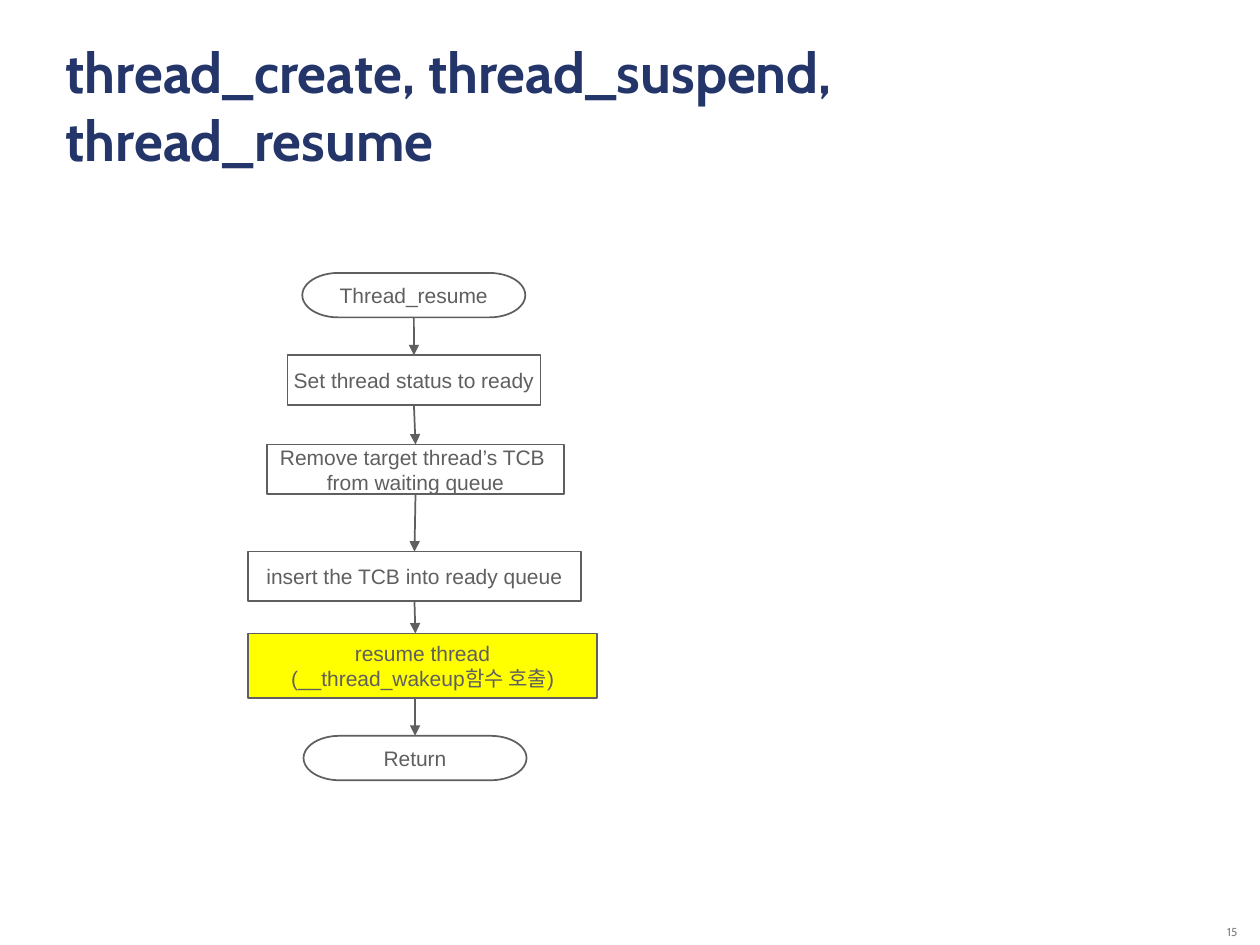
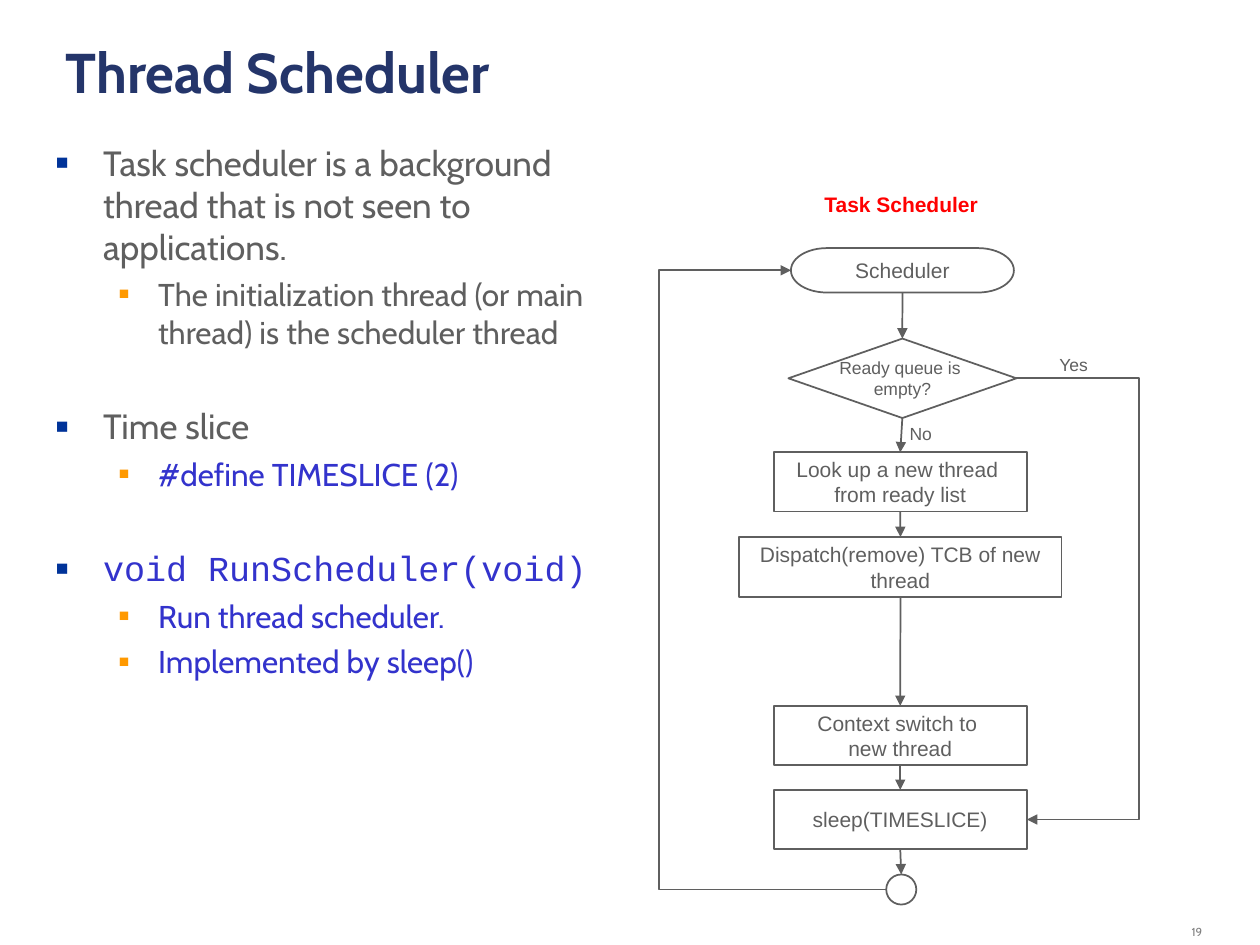
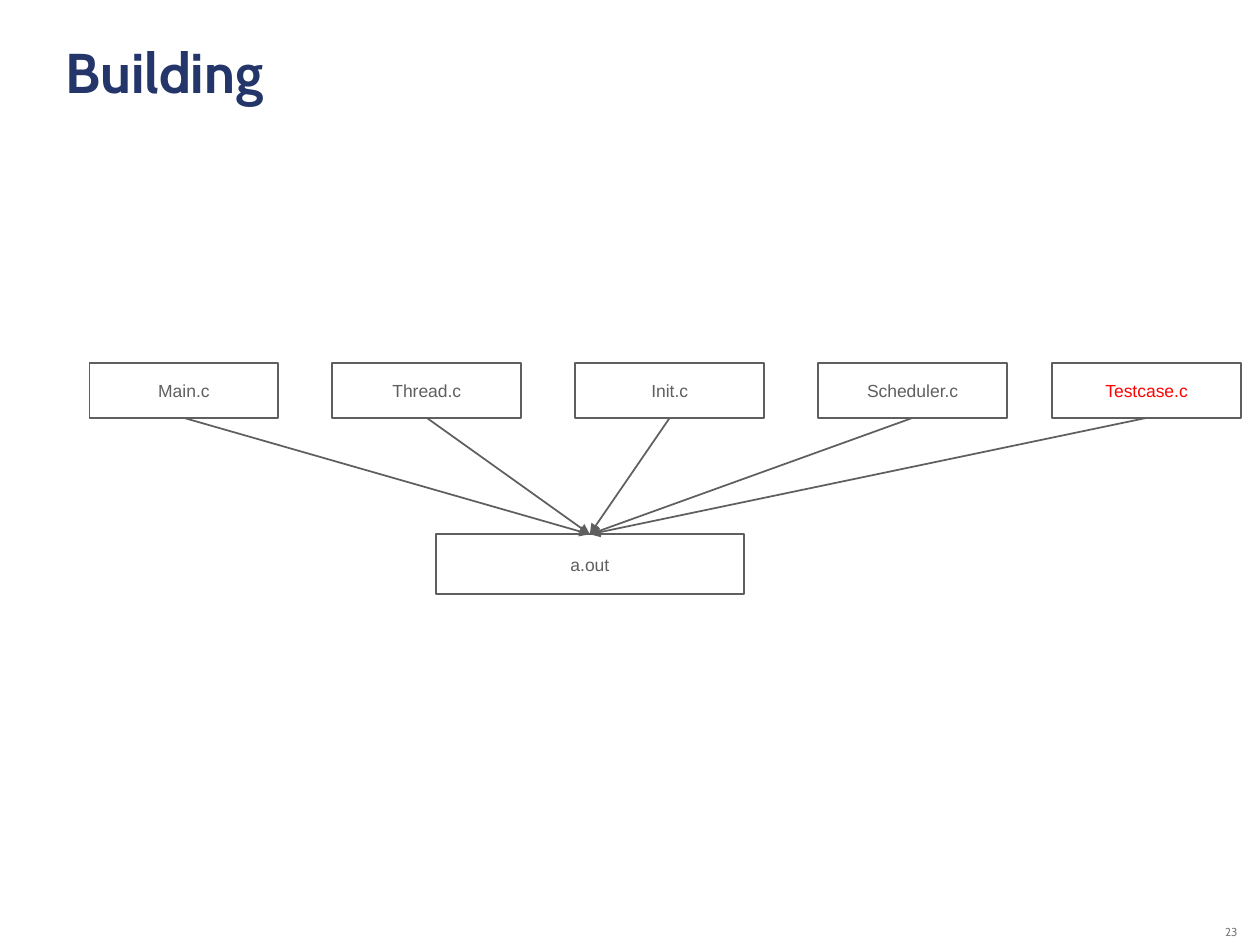
import pptx
import pptx.dml.color
import pptx.enum.shapes
import pptx.enum.text
import pptx.oxml
import pptx.oxml.ns
import pptx.util

Pt = pptx.util.Pt
RGBColor = pptx.dml.color.RGBColor
FORM = pptx.enum.shapes.MSO_SHAPE
LINE = pptx.enum.shapes.MSO_CONNECTOR
ALIGN = pptx.enum.text.PP_ALIGN
ANCHOR = pptx.enum.text.MSO_ANCHOR
FIT = pptx.enum.text.MSO_AUTO_SIZE
SPACE = pptx.oxml.ns.nsdecls("a")

NAVY = RGBColor(0x24, 0x35, 0x6A)
GREY = RGBColor(0x5F, 0x5F, 0x5F)
PALE = RGBColor(0x80, 0x80, 0x80)
WHITE = RGBColor(0xFF, 0xFF, 0xFF)
YELLOW = RGBColor(0xFF, 0xFF, 0x00)
RED = RGBColor(0xFF, 0x00, 0x00)
BLUE = RGBColor(0x33, 0x33, 0xCC)
ROYAL = RGBColor(0x00, 0x33, 0x99)
ORANGE = RGBColor(0xFF, 0x99, 0x00)


def box(page, form, left, top, width, height, text, size=12, fill=WHITE, tint=GREY):
    """Add an outlined shape with centred text, one paragraph a line."""
    shape = page.shapes.add_shape(form, Pt(left), Pt(top), Pt(width), Pt(height))
    shape.shadow.inherit = False
    shape.fill.solid()
    shape.fill.fore_color.rgb = fill
    shape.line.color.rgb = GREY
    shape.line.width = Pt(1)
    frame = shape.text_frame
    frame.word_wrap = False
    frame.vertical_anchor = ANCHOR.MIDDLE
    for i, words in enumerate(text.split("\n") if text else []):
        para = frame.add_paragraph() if i else frame.paragraphs[0]
        para.alignment = ALIGN.CENTER
        run = para.add_run()
        run.text = words
        run.font.name = "Arial"
        run.font.size = Pt(size)
        run.font.color.rgb = tint
    return shape


def link(page, start, end, kind=LINE.STRAIGHT):
    """Add an arrow; an end is a point, or a shape with its side."""
    spots = [(0, 0) if hasattr(e[0], "shape_id") else e for e in (start, end)]
    line = page.shapes.add_connector(kind, *[Pt(n) for spot in spots for n in spot])
    if hasattr(start[0], "shape_id"):
        line.begin_connect(*start)
    if hasattr(end[0], "shape_id"):
        line.end_connect(*end)
    line.line.color.rgb = GREY
    line.line.width = Pt(1)
    line.line._get_or_add_ln().append(pptx.oxml.parse_xml(f'<a:tailEnd {SPACE} type="triangle"/>'))
    line._element.spPr.append(pptx.oxml.parse_xml(f"<a:effectLst {SPACE}/>"))
    return line


deck = pptx.Presentation()
deck.slide_width = Pt(720)
deck.slide_height = Pt(540)

# Slides with title and page number
pages = []
for plan, title, number, left in [
    (5, "thread_create, thread_suspend, thread_resume", "15", 642.2),
    (1, "Thread Scheduler", "19", 622.1),
    (5, "Building", "23", 642.2),
]:
    page = deck.slides.add_slide(deck.slide_layouts[plan])
    pages.append(page)
    head = page.shapes.title
    head.left, head.top, head.width, head.height = Pt(30.2), Pt(18), Pt(650), Pt(87.8)
    foot = page.shapes.add_textbox(Pt(left), Pt(522), Pt(72), Pt(18))
    for shape, words, size, tint, side, anchor in [
        (head, title, 32, NAVY, ALIGN.LEFT, ANCHOR.TOP),
        (foot, number, 6.6, PALE, ALIGN.RIGHT, ANCHOR.BOTTOM),
    ]:
        frame = shape.text_frame
        frame.word_wrap = True
        frame.auto_size = FIT.NONE
        frame.vertical_anchor = anchor
        para = frame.paragraphs[0]
        para.alignment = side
        run = para.add_run()
        run.text = words
        run.font.name = "Cabin"
        run.font.size = Pt(size)
        run.font.bold = shape is head
        run.font.color.rgb = tint
    foot.text_frame.paragraphs[0].line_spacing = 0.8
resume, sched, build = pages

# Slide 1: flow of thread_resume
steps = [
    box(resume, *row)
    for row in [
        (FORM.FLOWCHART_TERMINATOR, 172.8, 156, 127.4, 25.4, "Thread_resume"),
        (FORM.RECTANGLE, 164.2, 203, 144.7, 28.3, "Set thread status to ready"),
        (FORM.RECTANGLE, 152.5, 254, 169.9, 28.3, "Remove target thread’s TCB \nfrom waiting queue"),
        (FORM.RECTANGLE, 141.8, 315.2, 190.1, 28.3, "insert the TCB into ready queue"),
        (FORM.RECTANGLE, 141.8, 362, 199.4, 36.7, "resume thread\n(__thread_wakeup함수 호출)", 12, YELLOW),
        (FORM.FLOWCHART_TERMINATOR, 173.5, 420.5, 127.4, 25.4, "Return"),
    ]
]
for a, b in zip(steps[:3], steps[1:4]):
    link(resume, (a, 2), (b, 0))
link(resume, (steps[3], 2), (237.4, 362))
link(resume, (237.2, 398.7), (steps[5], 0))

# Slide 2: list
body = sched.placeholders[1]
body.left, body.top, body.width, body.height = Pt(24.7), Pt(77), Pt(355.7), Pt(408.2)
frame = body.text_frame
frame.auto_size = FIT.NONE
frame.vertical_anchor = ANCHOR.TOP
items = [
    (0, 5, "Task scheduler is a background thread that is not seen to applications.", "Cabin", GREY),
    (1, 4.5, "The initialization thread (or main thread) is the scheduler thread", "Cabin", GREY),
    (0, 31, "Time slice", "Cabin", GREY),
    (1, 4.5, "#define TIMESLICE (2)", "Cabin", BLUE),
    (0, 31, "void RunScheduler(void)", "Courier New", BLUE),
    (1, 4.5, "Run thread scheduler.", "Cabin", BLUE),
    (1, 4.5, "Implemented by sleep()", "Cabin", BLUE),
]
ranks = [(20, 27, -27, ROYAL, 60), (18, 58.5, -22.5, ORANGE, 55)]
for i, (level, gap, words, font, tint) in enumerate(items):
    size, margin, indent, mark, scale = ranks[level]
    para = frame.add_paragraph() if i else frame.paragraphs[0]
    para.level = level
    para.space_before = Pt(gap)
    props = para._p.get_or_add_pPr()
    props.set("marL", str(Pt(margin)))
    props.set("indent", str(Pt(indent)))
    for tag in [
        f'<a:buClr {SPACE}><a:srgbClr val="{mark}"/></a:buClr>',
        f'<a:buSzPct {SPACE} val="{scale * 1000}"/>',
        f'<a:buChar {SPACE} char="■"/>',
    ]:
        props.append(pptx.oxml.parse_xml(tag))
    run = para.add_run()
    run.text = words
    run.font.name = font
    run.font.size = Pt(size)
    run.font.color.rgb = tint

# Slide 2: flow of the scheduler
steps = [
    box(sched, *row)
    for row in [
        (FORM.FLOWCHART_TERMINATOR, 452, 141.8, 127.4, 25.4, "Scheduler"),
        (FORM.FLOWCHART_DECISION, 450.5, 193.5, 130.3, 45.4, "Ready queue is \nempty?", 10),
        (FORM.RECTANGLE, 442.1, 258.5, 144.7, 33.8, "Look up a new thread \nfrom ready list"),
        (FORM.RECTANGLE, 422.4, 306.9, 184.3, 34.2, "Dispatch(remove) TCB of new\nthread"),
        (FORM.RECTANGLE, 442.1, 403.4, 144.7, 33.8, "Context switch to \nnew thread"),
        (FORM.RECTANGLE, 442.1, 451.4, 144.7, 33.8, "sleep(TIMESLICE)"),
        (FORM.OVAL, 506.4, 499.7, 17.2, 17.2, ""),
    ]
]
for a, b in zip(steps, steps[1:]):
    link(sched, (a, 2), (b, 0))

# Slide 2: bent arrows, each turning at x = turn
for start, end, turn in [
    ((580.8, 216.2), (586.8, 468.3), 650.9),
    ((506.4, 508.3), (452, 154.5), 376.6),
]:
    line = link(sched, start, end, LINE.ELBOW)
    bend = round((turn - start[0]) / (end[0] - start[0]) * 100000)
    guides = line._element.spPr.prstGeom.get_or_add_avLst()
    guides.append(pptx.oxml.parse_xml(f'<a:gd {SPACE} name="adj1" fmla="val {bend}"/>'))

# Slide 2: labels, each kept on one line by a box that grows with its text
for words, left, top, width, height, size, tint in [
    ("Task Scheduler", 464, 105.8, 103, 21.6, 12, RED),
    ("Yes", 598.3, 199, 32, 19.4, 10, GREY),
    ("No", 512.7, 238.1, 28, 19.4, 10, GREY),
]:
    label = sched.shapes.add_textbox(Pt(left), Pt(top), Pt(width), Pt(height))
    label.text_frame.word_wrap = False
    label.text_frame.auto_size = FIT.SHAPE_TO_FIT_TEXT
    run = label.text_frame.paragraphs[0].add_run()
    run.text = words
    run.font.name = "Arial"
    run.font.size = Pt(size)
    run.font.bold = tint == RED
    run.font.color.rgb = tint

# Slide 3: source files and the program built from them
goal = box(build, FORM.RECTANGLE, 249.1, 305.3, 175.9, 34, "a.out", 10)
files = [(51.1 + 138.8 * i, name, GREY) for i, name in enumerate(["Main.c", "Thread.c", "Init.c", "Scheduler.c"])]
files.append((601.2, "Testcase.c", RED))
for left, name, tint in files:
    file = box(build, FORM.RECTANGLE, left, 207.4, 108, 31.4, name, 10, WHITE, tint)
    link(build, (file, 2), (goal, 0))

deck.save("out.pptx")
